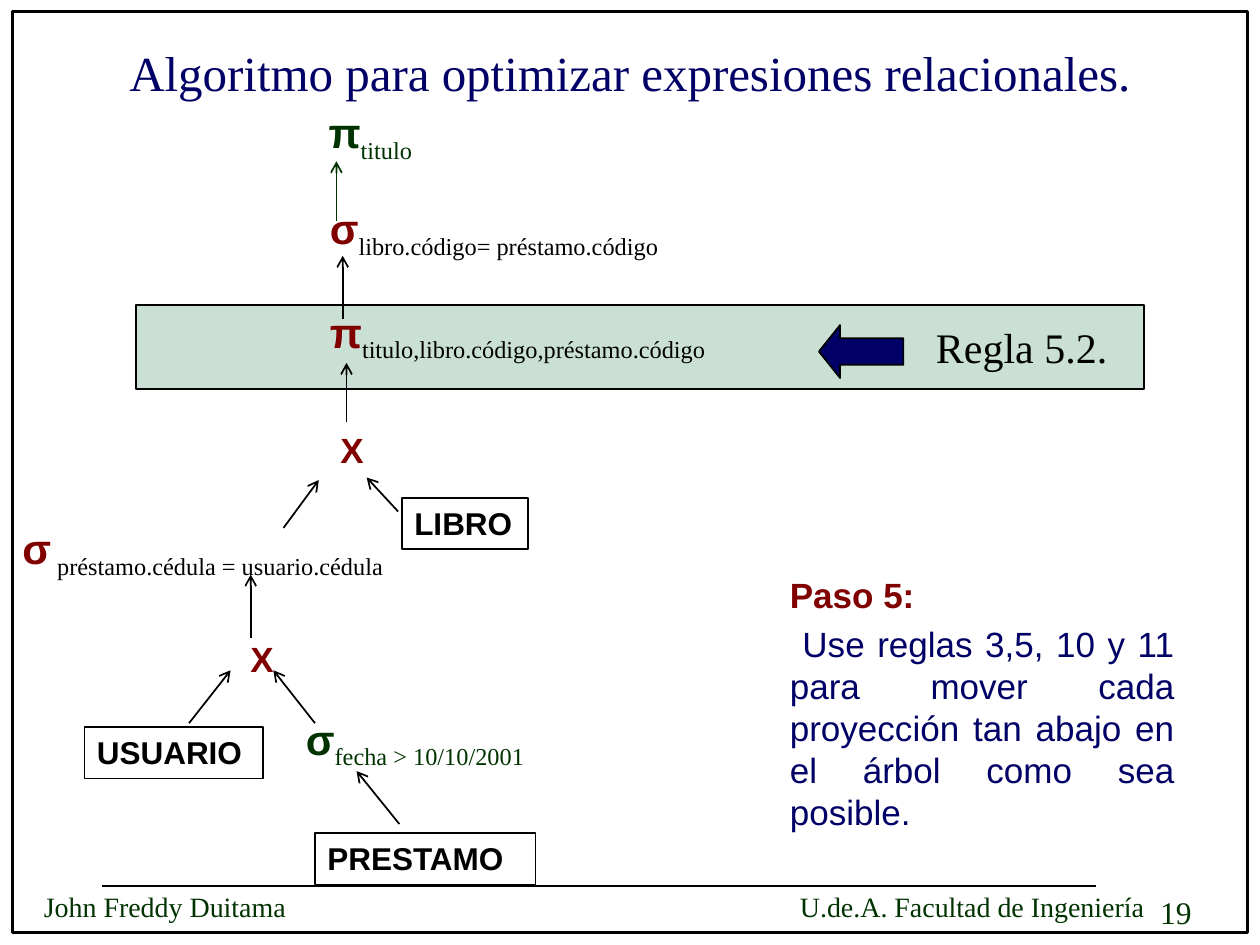
from dataclasses import dataclass

from lxml import etree
from pptx import Presentation
from pptx import util as u
from pptx.dml.color import RGBColor
from pptx.enum import shapes, text
from pptx.oxml.ns import qn

COLORS = {
    "black": "000000",
    "green": "003300",
    "navy": "000066",
    "maroon": "800000",
    "mint": "CAE0D4",
}
SANS, SERIF = "Arial", "Times New Roman"
ALIGN = text.PP_ALIGN


@dataclass
class Operator:
    symbol: str
    condition: str
    left: float
    top: float
    width: float
    color: str
    condition_color: str = "black"


@dataclass
class Relation:
    name: str
    left: float
    top: float
    width: float


@dataclass
class Arrow:
    start: tuple[float, float]
    end: tuple[float, float]
    color: str = "black"


OPERATORS = [
    Operator("π", "titulo", 2.51, 0.8, 6.33, "green", "green"),
    Operator("σ", "libro.código= préstamo.código", 2.52, 1.56, 6.83, "maroon"),
    Operator("π", "titulo,libro.código,préstamo.código", 2.52, 2.38, 6.33, "maroon"),
    Operator("σ", " préstamo.cédula = usuario.cédula", 0.08, 4.1, 3.67, "maroon"),
    Operator("σ", "fecha > 10/10/2001", 2.33, 5.61, 6.83, "green", "green"),
]
PRODUCTS = [(2.42, 3.35, 0.75), (1.83, 5.01, 0.5)]
RELATIONS = [
    Relation("LIBRO", 3.19, 3.95, 1),
    Relation("USUARIO", 0.67, 5.77, 1.42),
    Relation("PRESTAMO", 2.5, 6.61, 1.75),
]
ARROWS = [
    Arrow((2.67, 1.75), (2.67, 1.28), "green"),
    Arrow((2.72, 2.53), (2.72, 2.03)),
    Arrow((2.75, 3.35), (2.75, 2.88)),
    Arrow((2.25, 4.19), (2.53, 3.81)),
    Arrow((3.16, 4.06), (2.91, 3.79)),
    Arrow((1.99, 5.06), (1.99, 4.56)),
    Arrow((1.5, 5.74), (1.83, 5.32)),
    Arrow((2.5, 5.74), (2.17, 5.32)),
    Arrow((3.17, 6.54), (2.83, 6.12)),
]


def rgb(color: str) -> RGBColor:
    return RGBColor.from_string(COLORS[color])


def write(paragraph, content: str, *, size: float, font: str = SANS,
          color: str = "black", bold: bool = False, align=ALIGN.LEFT,
          subscript: bool = False) -> None:
    paragraph.alignment = align
    run = paragraph.add_run()
    run.text = content
    run.font.size = u.Pt(size)
    run.font.name = font
    run.font.bold = bold
    run.font.color.rgb = rgb(color)
    if subscript:
        run.font._element.set("baseline", "-25000")


def add_box(slide, left: float, top: float, width: float, height: float):
    box = slide.shapes.add_textbox(*map(u.Inches, (left, top, width, height)))
    box.text_frame.word_wrap = True
    return box.text_frame


def add_block(slide, kind, left: float, top: float, width: float, height: float,
              *, fill: str = "", weight: float = 1):
    block = slide.shapes.add_shape(kind, *map(u.Inches, (left, top, width, height)))
    block.shadow.inherit = False
    if fill:
        block.fill.solid()
        block.fill.fore_color.rgb = rgb(fill)
    else:
        block.fill.background()
    block.line.color.rgb = rgb("black")
    block.line.width = u.Pt(weight)
    return block


def add_line(slide, start: tuple[float, float], end: tuple[float, float],
             color: str = "black"):
    line = slide.shapes.add_connector(
        shapes.MSO_CONNECTOR.STRAIGHT, *map(u.Inches, (*start, *end)))
    line.line.color.rgb = rgb(color)
    line.line.width = u.Pt(1)
    etree.SubElement(line._element.spPr, qn("a:effectLst"))
    return line


def add_arrow(slide, arrow: Arrow) -> None:
    line = add_line(slide, arrow.start, arrow.end, arrow.color)
    etree.SubElement(line.line._get_or_add_ln(), qn("a:tailEnd"), type="arrow")


def add_operator(slide, op: Operator) -> None:
    paragraph = add_box(slide, op.left, op.top, op.width, 0.5).paragraphs[0]
    write(paragraph, op.symbol, size=24, color=op.color, bold=True,
          align=ALIGN.JUSTIFY)
    write(paragraph, op.condition, size=24, font=SERIF, color=op.condition_color,
          align=ALIGN.JUSTIFY, subscript=True)


def add_relation(slide, relation: Relation) -> None:
    block = add_block(slide, shapes.MSO_SHAPE.RECTANGLE, relation.left,
                      relation.top, relation.width, 0.41)
    block.text_frame.word_wrap = True
    block.text_frame.vertical_anchor = text.MSO_ANCHOR.TOP
    write(block.text_frame.paragraphs[0], relation.name, size=18, bold=True,
          align=ALIGN.JUSTIFY)


def add_frame_and_footer(slide) -> None:
    add_block(slide, shapes.MSO_SHAPE.RECTANGLE, 0.1, 0.09, 9.8, 7.31, weight=2)
    add_line(slide, (0.81, 7.03), (8.7, 7.03))
    for content, left, top, width, size in (
        ("John Freddy Duitama", 0.25, 7.01, 4, 16),
        ("U.de.A. Facultad de Ingeniería", 6.25, 7.01, 3.25, 16),
        ("19", 9.11, 7.04, 0.77, 18),
    ):
        write(add_box(slide, left, top, width, 0.37).paragraphs[0], content,
              size=size, font=SERIF, color="green")


def add_title(slide) -> None:
    title = slide.shapes.title
    title.left, title.top, title.width, title.height = map(
        u.Inches, (0.75, 0.28, 8.5, 0.58))
    title.text_frame.auto_size = text.MSO_AUTO_SIZE.NONE
    title.text_frame.vertical_anchor = text.MSO_ANCHOR.MIDDLE
    write(title.text_frame.paragraphs[0],
          "Algoritmo para optimizar expresiones relacionales.",
          size=28, font=SERIF, color="navy", align=ALIGN.CENTER)


def add_rule(slide) -> None:
    add_block(slide, shapes.MSO_SHAPE.RECTANGLE, 1.08, 2.42, 8, 0.67, fill="mint")
    pointer = add_block(slide, shapes.MSO_SHAPE.LEFT_ARROW, 6.5, 2.58, 0.67, 0.42,
                        fill="navy")
    pointer.adjustments[0], pointer.adjustments[1] = 0.5, 0.4
    write(add_box(slide, 7.33, 2.5, 2.17, 0.5).paragraphs[0], "Regla 5.2.",
          size=24, font=SERIF)


def add_step(slide) -> None:
    frame = add_box(slide, 6.17, 4.5, 3.25, 2.17)
    write(frame.paragraphs[0], "Paso 5:", size=20, color="maroon", bold=True,
          align=ALIGN.JUSTIFY)
    advice = frame.add_paragraph()
    advice.space_before = u.Pt(4)
    advice._p.get_or_add_pPr().set("indent", str(u.Inches(0.1)))
    write(advice, "Use reglas 3,5, 10 y 11 para mover cada proyección tan abajo "
          "en el árbol como sea posible.", size=20, color="navy",
          align=ALIGN.JUSTIFY)


def main() -> None:
    deck = Presentation()
    deck.slide_width, deck.slide_height = u.Inches(10), u.Inches(7.5)
    slide = deck.slides.add_slide(deck.slide_layouts[5])
    add_frame_and_footer(slide)
    add_title(slide)
    add_rule(slide)
    for operator in OPERATORS:
        add_operator(slide, operator)
    for left, top, width in PRODUCTS:
        write(add_box(slide, left, top, width, 0.43).paragraphs[0], "X", size=20,
              color="maroon", bold=True, align=ALIGN.CENTER)
    for relation in RELATIONS:
        add_relation(slide, relation)
    for arrow in ARROWS:
        add_arrow(slide, arrow)
    add_step(slide)
    deck.save("out.pptx")


if __name__ == "__main__":
    main()
